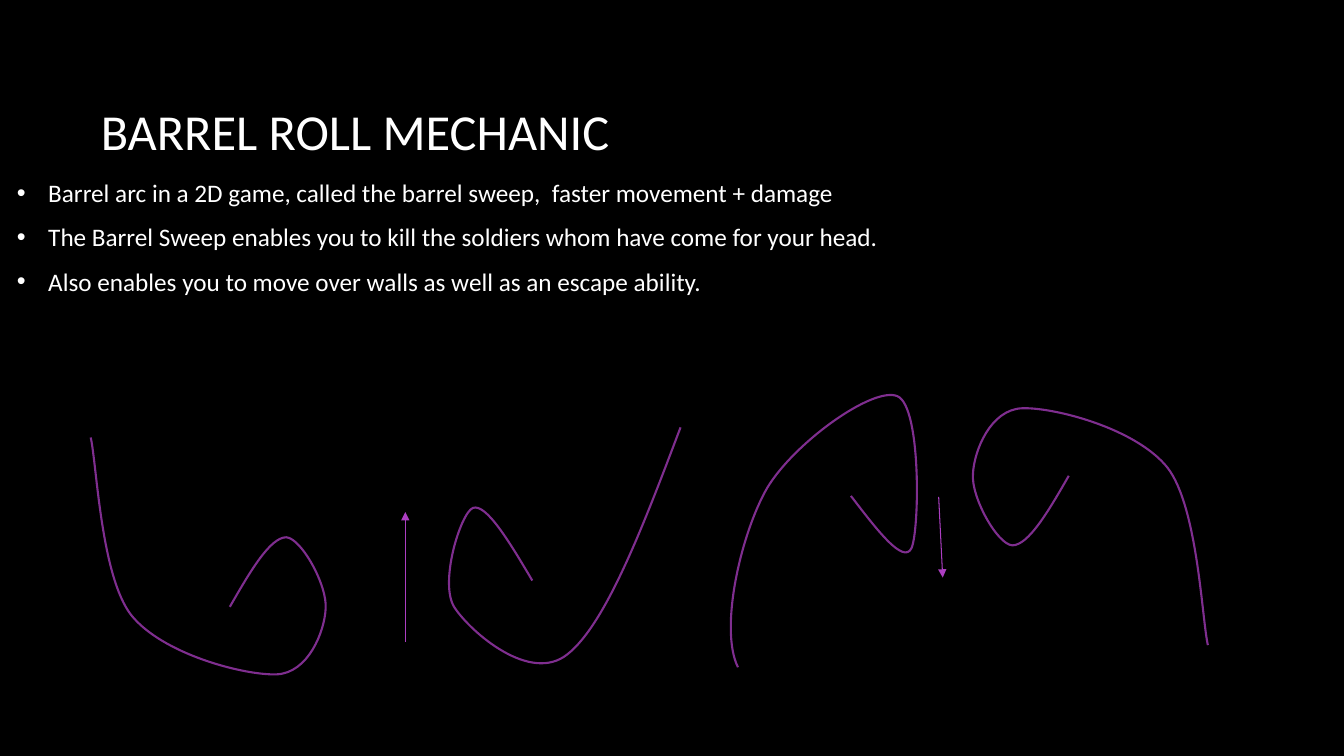
import pptx
import pptx.util
import pptx.dml.color
import pptx.enum.shapes
import pptx.enum.text
import pptx.oxml
import pptx.oxml.ns

BLACK = pptx.dml.color.RGBColor(0x00, 0x00, 0x00)
WHITE = pptx.dml.color.RGBColor(0xFF, 0xFF, 0xFF)
PURPLE = pptx.dml.color.RGBColor(0x7F, 0x2E, 0x8F)
VIOLET = pptx.dml.color.RGBColor(0xAC, 0x3E, 0xC1)
COLUMNS, ROWS = 13.33, 7.5  # one grid cell is one inch
CELL = pptx.util.Inches(1)

BULLETS = [
    "Barrel arc in a 2D game, called the barrel sweep,  faster movement + damage",
    "The Barrel Sweep enables you to kill the soldiers whom have come for your head.",
    "Also enables you to move over walls as well as an escape ability.",
]

# Start point, then two handles and an end point for each bend,
# in cells from the corner of the curve's box.
HOOK = [(1.38, 1.68), (1.58, 1.33), (1.78, 0.99), (1.94, 0.99),
        (2.09, 1.00), (2.35, 1.47), (2.33, 1.70),
        (2.32, 1.92), (2.16, 2.34), (1.84, 2.35),
        (1.52, 2.36), (0.71, 2.15), (0.40, 1.76),
        (0.10, 1.37), (0.06, 0.26), (0.00, 0.00)]
SWOOP = [(0.83, 1.52), (0.60, 1.13), (0.37, 0.75), (0.24, 0.80),
         (0.12, 0.85), (-0.10, 1.55), (0.06, 1.79),
         (0.22, 2.03), (0.81, 2.55), (1.18, 2.25),
         (1.56, 1.95), (1.93, 0.98), (2.30, 0.00)]
ARCH = [(1.19, 1.00), (1.45, 1.34), (1.71, 1.68), (1.79, 1.52),
        (1.87, 1.35), (1.89, 0.11), (1.65, 0.01),
        (1.41, -0.09), (0.63, 0.47), (0.36, 0.92),
        (0.10, 1.37), (-0.12, 2.32), (0.07, 2.70)]


def cells(*lengths):
    """Turn grid lengths into slide units."""
    return [round(length * CELL) for length in lengths]


def apply_format(target, values):
    """Set attributes from a dict of format values."""
    for name, value in values.items():
        setattr(target, name, value)


def add_child(parent, tag, **attributes):
    """Append a drawing element with attributes and return it."""
    child = pptx.oxml.parse_xml(f"<a:{tag} {pptx.oxml.ns.nsdecls('a')}/>")
    for name, value in attributes.items():
        child.set(name, str(value))
    parent.append(child)
    return child


def place(shape, box):
    """Move and size a shape to a box in cells."""
    apply_format(shape, dict(zip(("left", "top", "width", "height"), cells(*box))))


def write(para, text, size):
    """Put white text in a left-aligned paragraph."""
    para.alignment = pptx.enum.text.PP_ALIGN.LEFT
    span = para.add_run()
    span.text = text
    apply_format(span.font, {"name": "Calibri", "size": pptx.util.Pt(size)})
    span.font.color.rgb = WHITE


def set_title(page, box, text):
    """Place and fill the title placeholder."""
    title = page.shapes.title
    place(title, box)
    apply_format(title.text_frame, {
        "vertical_anchor": pptx.enum.text.MSO_ANCHOR.MIDDLE,
        "auto_size": pptx.enum.text.MSO_AUTO_SIZE.NONE, "word_wrap": True})
    write(title.text_frame.paragraphs[0], text, 36)


def add_bullets(page, box, lines):
    """Add the bulleted list, starting below the title inside its box."""
    frame = page.shapes.add_textbox(*cells(*box)).text_frame
    apply_format(frame, {
        "word_wrap": True, "margin_top": cells(0.75)[0],
        "vertical_anchor": pptx.enum.text.MSO_ANCHOR.TOP})
    for index, line in enumerate(lines):
        para = frame.add_paragraph() if index else frame.paragraphs[0]
        write(para, line, 18)
        para.space_after = pptx.util.Pt(10)
        properties = para._p.get_or_add_pPr()
        indent = cells(0.31)[0]
        properties.set("marL", str(indent))
        properties.set("indent", str(-indent))
        add_child(add_child(properties, "buClr"), "srgbClr", val=WHITE)
        add_child(properties, "buFont", typeface="Arial")
        add_child(properties, "buChar", char="•")


def bend_outline(curve, points):
    """Replace the straight pieces of an outline by cubic bends."""
    outline = curve._element.find(".//" + pptx.oxml.ns.qn("a:path"))
    for piece in list(outline):
        outline.remove(piece)
    outline.set("w", str(curve.width))
    outline.set("h", str(curve.height))
    bends = [points[first:first + 3] for first in range(1, len(points), 3)]
    for index, stops in enumerate([points[:1], *bends]):
        piece = add_child(outline, "cubicBezTo" if index else "moveTo")
        for stop in stops:
            x, y = cells(*stop)
            add_child(piece, "pt", x=x, y=y)


def add_curve(page, box, points, rotation):
    """Draw a curve in its box."""
    anchors = [cells(*point) for point in points[::3]]
    builder = page.shapes.build_freeform(*anchors[0])
    builder.add_line_segments(anchors[1:], close=False)
    curve = builder.convert_to_shape()
    place(curve, box)
    bend_outline(curve, points)
    curve.rotation = rotation
    curve.shadow.inherit = False
    curve.fill.background()
    curve.line.color.rgb = PURPLE
    curve.line.width = pptx.util.Pt(1.5)


def add_arrow(page, start, end):
    """Draw a thin arrow that points at its end."""
    arrow = page.shapes.add_connector(
        pptx.enum.shapes.MSO_CONNECTOR.STRAIGHT, *cells(*start, *end))
    arrow.line.color.rgb = VIOLET
    arrow.line.width = pptx.util.Pt(0.75)
    add_child(arrow.line._get_or_add_ln(), "tailEnd", type="triangle")
    add_child(arrow._element.spPr, "effectLst")


def add_sweeps(page, box):
    """Draw the rising and falling sweeps with their arrows."""
    left, top = box[:2]
    for x, y, width, height, points, rotation in (
            (0.00, 0.42, 2.34, 2.35, HOOK, 0),
            (8.74, 0.13, 2.34, 2.35, HOOK, 180),
            (3.55, 0.32, 2.30, 2.33, SWOOP, 0),
            (6.35, 0.00, 1.84, 2.71, ARCH, 0)):
        add_curve(page, (left + x, top + y, width, height), points, rotation)
    for x, y, end_x, end_y in ((8.41, 1.01, 8.45, 1.81), (3.12, 2.45, 3.12, 1.16)):
        add_arrow(page, (left + x, top + y), (left + end_x, top + end_y))


def build_mechanic_slide(deck):
    """Build the slide about the barrel roll."""
    page = deck.slides.add_slide(deck.slide_layouts[5])
    page.background.fill.solid()
    page.background.fill.fore_color.rgb = BLACK
    set_title(page, (0.9, 0.5, 11.08, 1.59), "BARREL ROLL MECHANIC")
    add_bullets(page, (0.07, 1.01, 11.08, 3.99), BULLETS)
    add_sweeps(page, (0.9, 3.92, 11.08, 2.77))


deck = pptx.Presentation()
deck.slide_width, deck.slide_height = cells(COLUMNS, ROWS)
build_mechanic_slide(deck)
deck.save("out.pptx")
